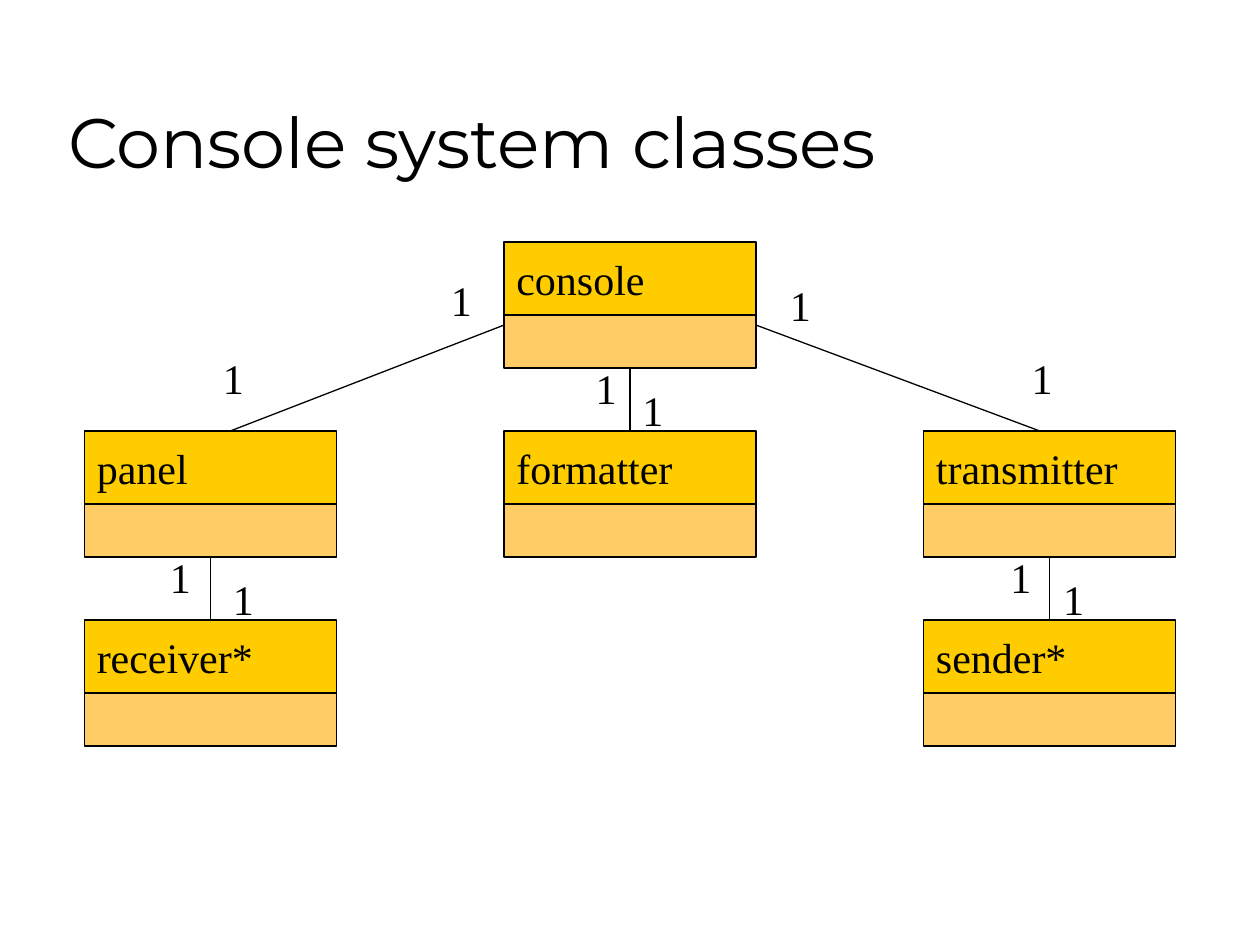
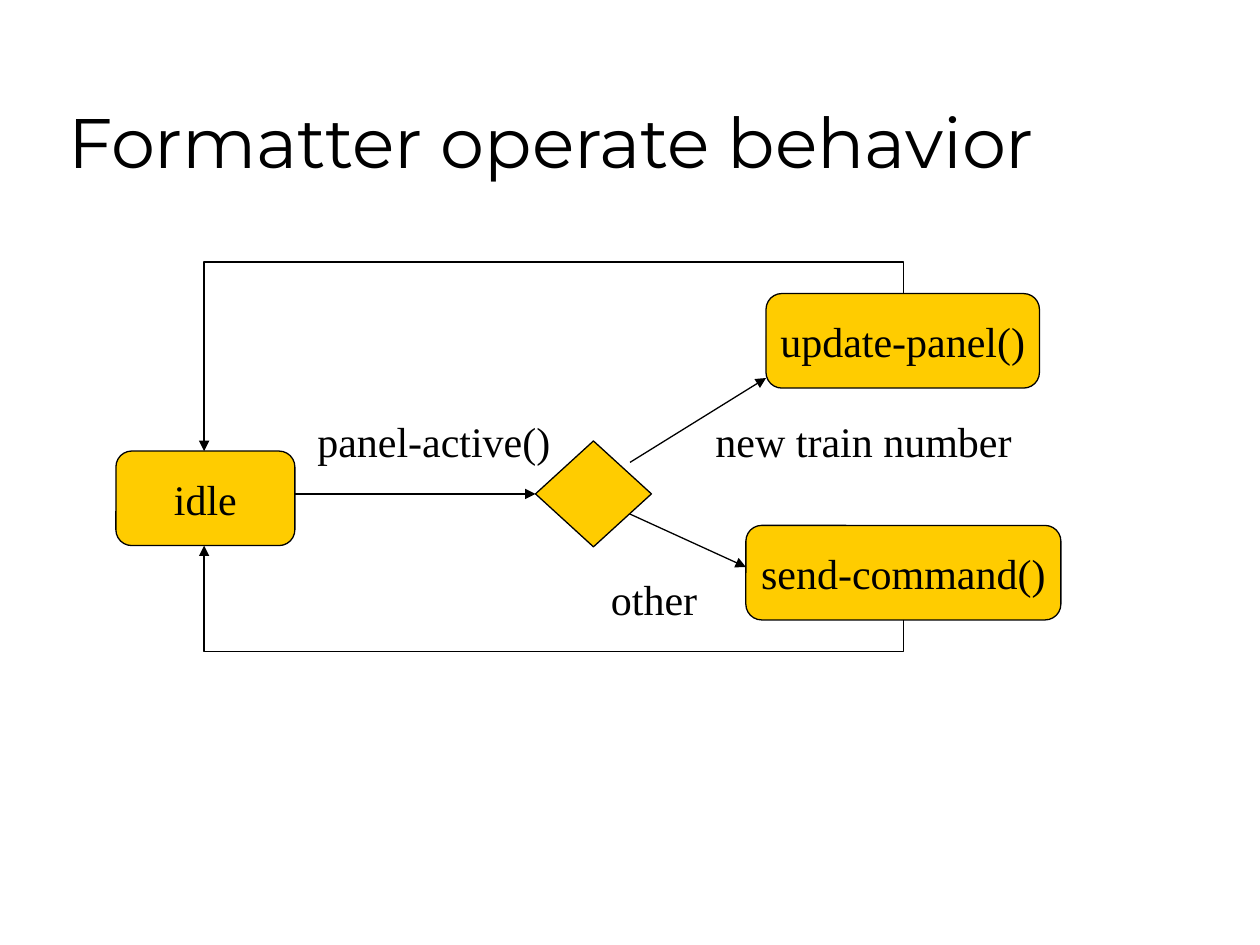
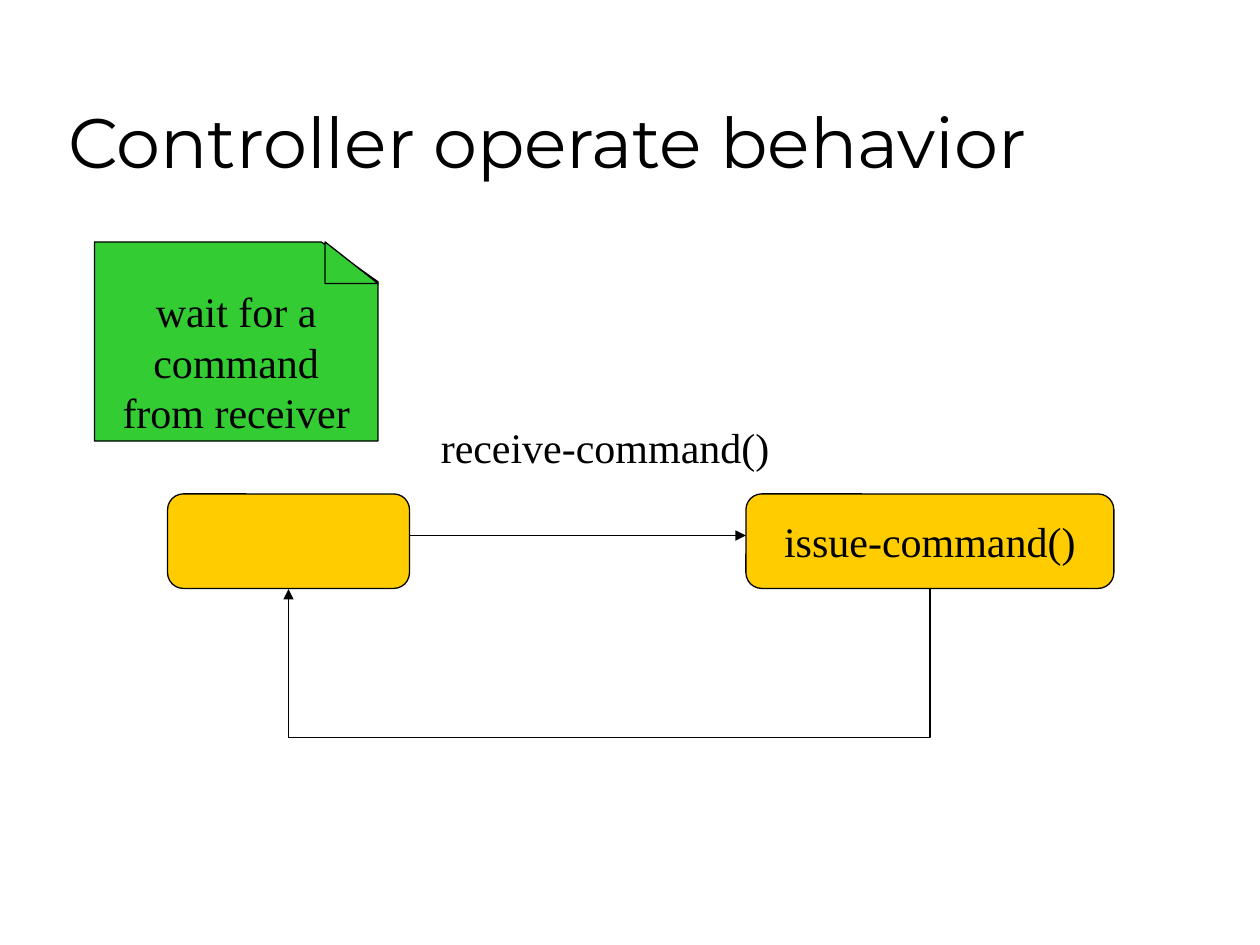
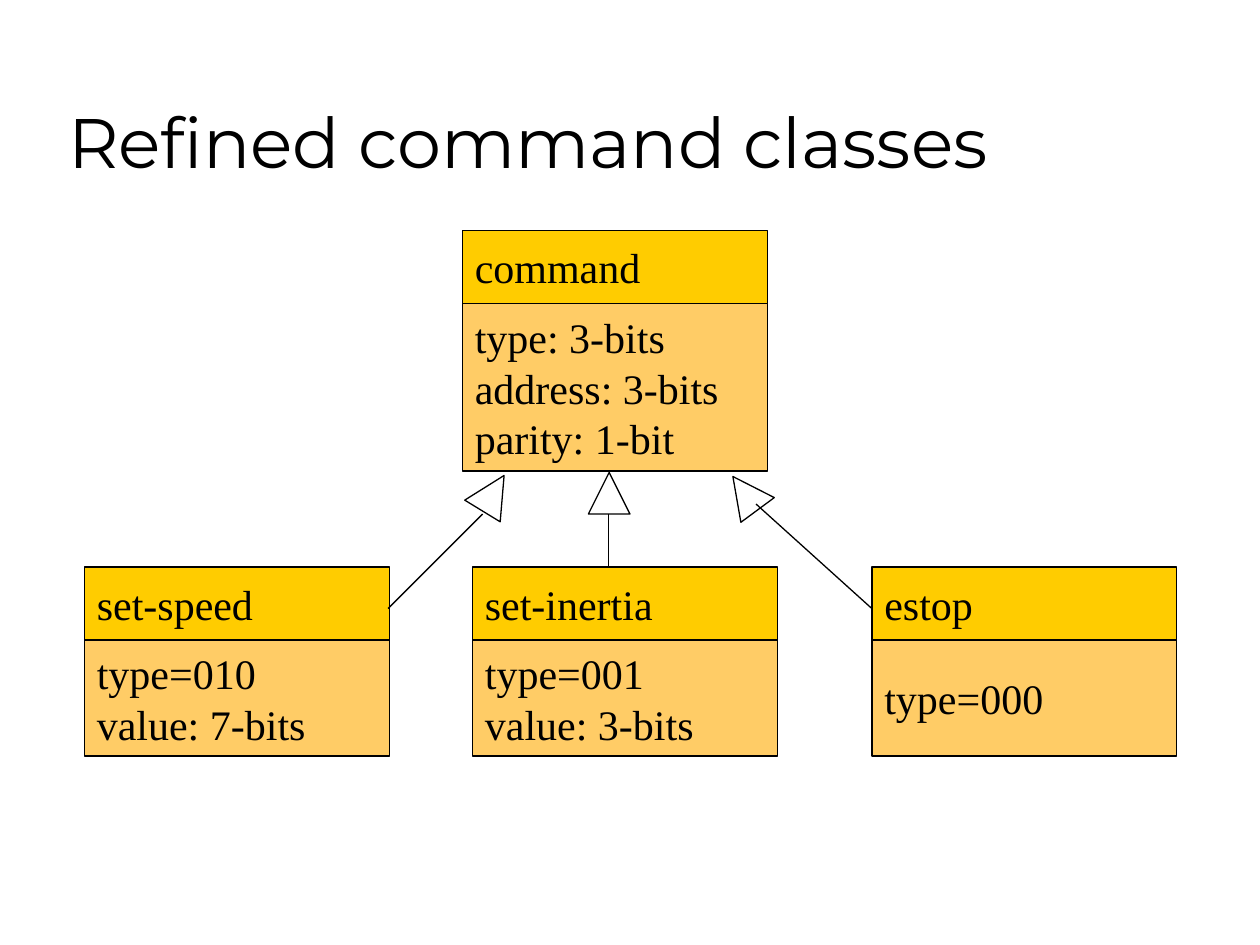
from dataclasses import dataclass
from lxml import etree
from pptx import Presentation
from pptx import util as u
from pptx.dml.color import RGBColor
from pptx.enum import shapes, text
from pptx.oxml.ns import qn


@dataclass(frozen=True)
class Theme:
    ink: RGBColor = RGBColor(0, 0, 0)
    paper: RGBColor = RGBColor(255, 255, 255)
    gold: RGBColor = RGBColor(0xFF, 0xCC, 0x00)
    sand: RGBColor = RGBColor(0xFF, 0xCC, 0x66)
    green: RGBColor = RGBColor(0x33, 0xCC, 0x33)
    title_font: str = "Montserrat"
    body_font: str = "Times New Roman"
    title_size: u.Pt = u.Pt(40)
    body_size: u.Pt = u.Pt(24)
    line: u.Pt = u.Pt(0.75)


T = Theme()
LEFT, CENTER = text.PP_ALIGN.LEFT, text.PP_ALIGN.CENTER
RECT = shapes.MSO_SHAPE.RECTANGLE
ROUND = shapes.MSO_SHAPE.ROUNDED_RECTANGLE
TRIANGLE = shapes.MSO_SHAPE.ISOSCELES_TRIANGLE
HEAD_H = 0.58


def box(s, kind, x, y, w, h, fill=None, lines=(), align=LEFT):
    at = [u.Inches(v) for v in (x, y, w, h)]
    if kind is None:
        sp = s.shapes.add_textbox(*at)
        sp.text_frame.auto_size = text.MSO_AUTO_SIZE.SHAPE_TO_FIT_TEXT
    else:
        sp = s.shapes.add_shape(kind, *at)
        sp.shadow.inherit = False
        sp.fill.solid()
        sp.fill.fore_color.rgb = fill
        sp.line.color.rgb = T.ink
        sp.line.width = T.line
        sp.text_frame.vertical_anchor = text.MSO_ANCHOR.MIDDLE
    tf = sp.text_frame
    tf.word_wrap = False
    for i, line in enumerate(lines):
        p = tf.add_paragraph() if i else tf.paragraphs[0]
        p.alignment = align
        r = p.add_run()
        r.text = line
        r.font.name = T.body_font
        r.font.size = T.body_size
        r.font.color.rgb = T.ink
    return sp


def link(s, x1, y1, x2, y2, arrow=False, via_y=None):
    if via_y is None:
        cn = s.shapes.add_connector(shapes.MSO_CONNECTOR.STRAIGHT,
                                    *[u.Inches(v) for v in (x1, y1, x2, y2)])
    else:
        rise, run = max(abs(y2 - y1), 0.01), abs(x1 - x2)
        left, top = (x1 + x2 - rise) / 2, (y1 + y2 - run) / 2
        cn = s.shapes.add_connector(shapes.MSO_CONNECTOR.ELBOW,
                                    *[u.Inches(v) for v in (left, top, left + rise, top + run)])
        up = y2 < y1
        xfrm = cn._element.spPr.find(qn("a:xfrm"))
        xfrm.set("rot", str((270 if up else 90) * 60000))
        if up:
            xfrm.set("flipV", "1")
        bend = (via_y - y1) / (-rise if up else rise)
        av = cn._element.spPr.find(qn("a:prstGeom")).find(qn("a:avLst"))
        etree.SubElement(av, qn("a:gd"), name="adj1", fmla=f"val {round(bend * 100000)}")
    cn.line.color.rgb = T.ink
    cn.line.width = T.line
    spPr = cn._element.spPr
    if arrow:
        etree.SubElement(spPr.find(qn("a:ln")), qn("a:tailEnd"), type="triangle")
    etree.SubElement(spPr, qn("a:effectLst"))
    return cn


prs = Presentation()
prs.slide_width, prs.slide_height = u.Inches(10), u.Inches(7.5)

slides = []
for title in ("Console system classes", "Formatter operate behavior",
              "Controller operate behavior", "Refined command classes"):
    s = prs.slides.add_slide(prs.slide_layouts[5])
    sp = s.shapes.title
    sp.left, sp.top, sp.width, sp.height = [u.Inches(v) for v in (0.44, 0.25, 8.5, 1.25)]
    tf = sp.text_frame
    tf.word_wrap = True
    tf.auto_size = text.MSO_AUTO_SIZE.NONE
    tf.vertical_anchor = text.MSO_ANCHOR.BOTTOM
    p = tf.paragraphs[0]
    p.alignment = LEFT
    r = p.add_run()
    r.text = title
    r.font.name = T.title_font
    r.font.size = T.title_size
    r.font.color.rgb = T.ink
    slides.append(s)
console_slide, formatter_slide, controller_slide, command_slide = slides

s = console_slide
cols, rows = (0.67, 4, 7.33), (1.92, 3.42, 4.92)
heads, bodies = {}, {}
for name, col, row in (("console", 1, 0), ("panel", 0, 1), ("formatter", 1, 1),
                       ("transmitter", 2, 1), ("receiver*", 0, 2), ("sender*", 2, 2)):
    x, y = cols[col], rows[row]
    heads[name] = box(s, RECT, x, y, 2, HEAD_H, T.gold, [name])
    bodies[name] = box(s, RECT, x, y + HEAD_H, 2, 0.42, T.sand)
link(s, 4, 2.58, 1.83, 3.42)
link(s, 6, 2.58, 8.25, 3.42)
for parent, child in (("console", "formatter"), ("panel", "receiver*"),
                      ("transmitter", "sender*")):
    cn = link(s, 5, 2.92, 5, 3.42)
    cn.begin_connect(bodies[parent], 2)
    cn.end_connect(heads[child], 0)
for x, y in ((3.48, 2.13), (1.67, 2.75), (6.17, 2.17), (8.09, 2.75), (4.63, 2.83),
             (5, 3), (1.25, 4.33), (1.75, 4.5), (7.92, 4.33), (8.34, 4.5)):
    box(s, None, x, y, 0.36, 0.5, lines=["1"])

s = formatter_slide
for name, x, y, w in (("idle", 0.92, 3.58, 1.42), ("update-panel()", 6.08, 2.33, 2.17),
                      ("send-command()", 5.92, 4.17, 2.5)):
    box(s, ROUND, x, y, w, 0.75, T.gold, [name], CENTER)
decision = box(s, shapes.MSO_SHAPE.DIAMOND, 4.25, 3.5, 0.92, 0.84, T.gold)
for label, x, y, w in (("panel-active()", 2.42, 3.25, 2.06),
                       ("new train number", 5.58, 3.25, 2.57), ("other", 4.75, 4.5, 0.92)):
    box(s, None, x, y, w, 0.5, lines=[label])
link(s, 2.34, 3.92, 4.25, 3.92, True).end_connect(decision, 1)
link(s, 5, 3.67, 6.08, 3, True)
link(s, 5, 4.08, 5.92, 4.5, True)
link(s, 7.17, 4.92, 1.62, 4.33, True, via_y=5.17)
link(s, 7.17, 2.33, 1.62, 3.58, True, via_y=2.08)

s = controller_slide
box(s, ROUND, 5.92, 3.92, 2.92, 0.75, T.gold, ["issue-command()"], CENTER)
box(s, ROUND, 1.33, 3.92, 1.92, 0.75, T.gold)
box(s, None, 3.4, 3.3, 2.82, 0.5, lines=["receive-command()"])
link(s, 3.25, 4.25, 5.92, 4.25, True)
link(s, 7.38, 4.67, 2.29, 4.67, True, via_y=5.88)
note = box(s, shapes.MSO_SHAPE.FLOWCHART_CARD, 0.75, 1.92, 2.25, 1.58, T.green,
           ["wait for a", "command", "from receiver"], CENTER)
note._element.spPr.find(qn("a:xfrm")).set("flipH", "1")
box(s, shapes.MSO_SHAPE.RIGHT_TRIANGLE, 2.58, 1.92, 0.42, 0.33, T.green)

s = command_slide
for name, x, y, body_h, fields in (
        ("command", 3.67, 1.83, 1.33, ["type: 3-bits", "address: 3-bits", "parity: 1-bit"]),
        ("set-inertia", 3.75, 4.5, 0.92, ["type=001", "value: 3-bits"]),
        ("set-speed", 0.67, 4.5, 0.92, ["type=010", "value: 7-bits"]),
        ("estop", 6.92, 4.5, 0.92, ["type=000"])):
    box(s, RECT, x, y, 2.42, HEAD_H, T.gold, [name])
    box(s, RECT, x, y + HEAD_H, 2.42, body_h, T.sand, fields)
for x, angle in ((4.67, 0), (3.75, 31.4), (5.75, 323.5)):
    box(s, TRIANGLE, x, 3.75, 0.33, 0.33, T.paper).rotation = angle
for ends in ((3.83, 4.08, 3.08, 4.83), (4.83, 4.08, 4.83, 4.5), (6, 4, 6.92, 4.83)):
    link(s, *ends)

prs.save("out.pptx")
